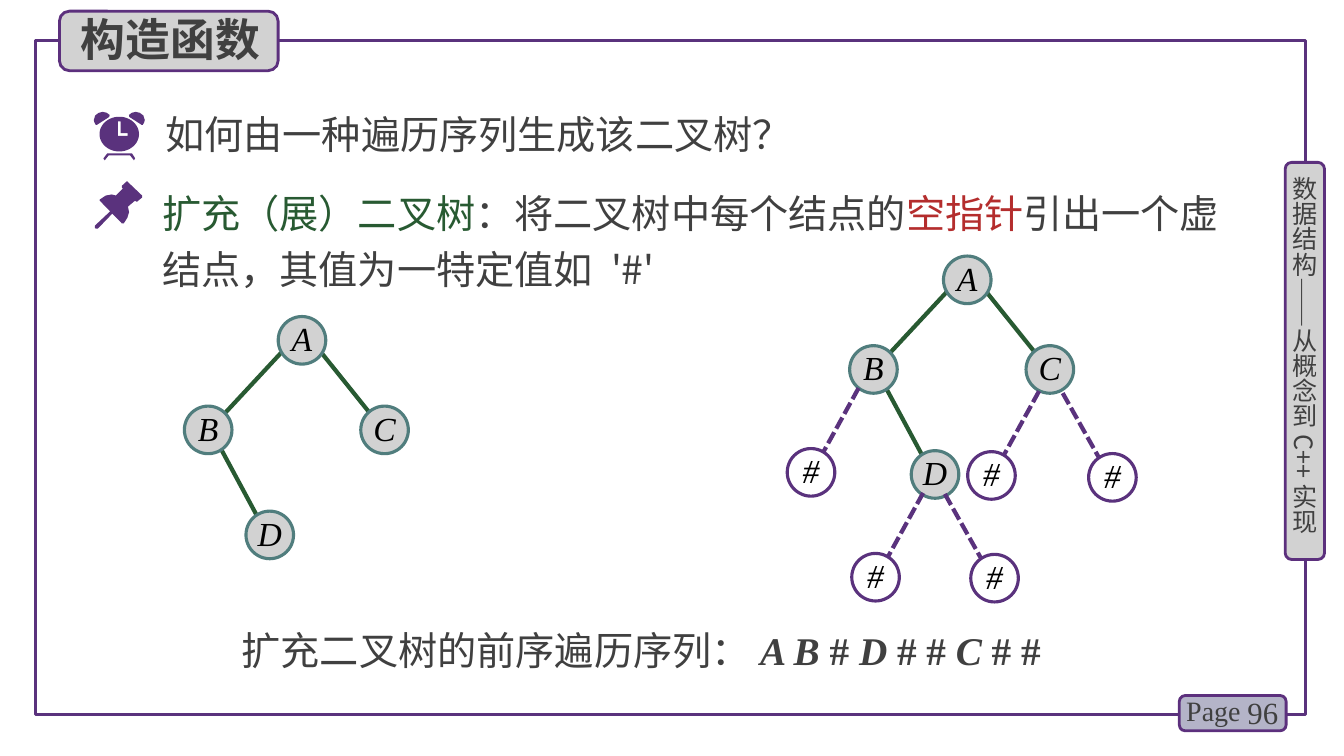
from math import cos, pi, sin
from typing import NamedTuple

from lxml.etree import SubElement
from pptx import Presentation
from pptx.dml.color import RGBColor
from pptx.enum.dml import MSO_LINE_DASH_STYLE as Dash
from pptx.enum.shapes import MSO_CONNECTOR as Connector
from pptx.enum.shapes import MSO_SHAPE as Shape
from pptx.enum.text import MSO_ANCHOR as Anchor
from pptx.enum.text import MSO_AUTO_SIZE as AutoSize
from pptx.enum.text import PP_ALIGN as Align
from pptx.oxml.ns import qn
from pptx.util import Pt

SANS, SERIF = "Noto Sans CJK SC", "Times New Roman"
PURPLE, BORDER, GREEN, TEAL = "5A327D", "5C307D", "285A32", "507D7D"
GREY, LILAC, TEXT, RED, BLACK = "D2D2D2", "B4B4C8", "404040", "B42D2D", "000000"
NODE_SIZE = 34


class Span(NamedTuple):
    text: str
    color: str = TEXT
    font: str = SANS
    bold: bool = False
    italic: bool = False


class Node(NamedTuple):
    letter: str
    dx: float
    dy: float


class NullLeaf(NamedTuple):
    x: float
    y: float
    is_left: bool


class Tab(NamedTuple):
    x: float
    y: float
    width: float
    height: float
    fill: str


def rgb(color: str) -> RGBColor:
    return RGBColor.from_string(color)


def write(box, spans, *, size, margins=(7.2, 3.6), align=Align.LEFT,
          anchor=Anchor.TOP, leading=None, before=0, indent=0, add=False):
    """Write one paragraph of spans into a box."""
    frame = box.text_frame
    frame.word_wrap = True
    frame.auto_size = AutoSize.NONE
    frame.vertical_anchor = anchor
    frame.margin_left = frame.margin_right = Pt(margins[0])
    frame.margin_top = frame.margin_bottom = Pt(margins[1])
    paragraph = frame.add_paragraph() if add else frame.paragraphs[0]
    properties = paragraph._p.get_or_add_pPr()
    properties.set("marL", str(Pt(indent)))
    properties.set("indent", "0")
    SubElement(properties, qn("a:buNone"))
    paragraph.alignment = align
    paragraph.space_before = Pt(before)
    paragraph.line_spacing = Pt(leading) if leading else 1.0
    for span in spans:
        run = paragraph.add_run()
        run.text = span.text
        run.font.size = Pt(size)
        run.font.name = span.font
        run.font.bold = span.bold
        run.font.italic = span.italic
        run.font.color.rgb = rgb(span.color)
        SubElement(run.font._element, qn("a:ea")).set("typeface", span.font)


def place(box, x: float, y: float, width: float, height: float):
    box.left, box.top, box.width, box.height = Pt(x), Pt(y), Pt(width), Pt(height)


def text_box(shapes, x: float, y: float, width: float, height: float):
    return shapes.add_textbox(Pt(x), Pt(y), Pt(width), Pt(height))


def add_outline(shapes, kind, x, y, width, height, *, fill=None, line, weight):
    shape = shapes.add_shape(kind, Pt(x), Pt(y), Pt(width), Pt(height))
    shape.shadow.inherit = False
    if fill:
        shape.fill.solid()
        shape.fill.fore_color.rgb = rgb(fill)
    else:
        shape.fill.background()
    shape.line.color.rgb = rgb(line)
    shape.line.width = Pt(weight)
    return shape


def add_edge(shapes, x1, y1, x2, y2, color: str, dashed: bool = False):
    edge = shapes.add_connector(Connector.STRAIGHT, Pt(x1), Pt(y1), Pt(x2), Pt(y2))
    edge.line.color.rgb = rgb(color)
    edge.line.width = Pt(3)
    if dashed:
        edge.line.dash_style = Dash.SQUARE_DOT
    SubElement(edge._element.spPr, qn("a:effectLst"))


def add_circle(shapes, letter: str, x, y, *, fill=None, line):
    circle = add_outline(shapes, Shape.OVAL, x, y, NODE_SIZE, NODE_SIZE,
                         fill=fill, line=line, weight=2.25)
    write(circle, [Span(letter, BLACK, SERIF, italic=True)], size=24,
          margins=(0, 0), align=Align.CENTER, leading=25)


def add_silhouette(shapes, *contours):
    builder = None
    for contour in contours:
        (x, y), *rest = [(Pt(px), Pt(py)) for px, py in contour]
        if builder is None:
            builder = shapes.build_freeform(x, y)
        else:
            builder.move_to(x, y)
        builder.add_line_segments(rest, close=True)
    shape = builder.convert_to_shape()
    shape.shadow.inherit = False
    shape.fill.solid()
    shape.fill.fore_color.rgb = rgb(PURPLE)
    shape.line.fill.background()


# Tree geometry, relative to the corner of the root node
NODES = [Node("A", 0, 0), Node("C", 59, 64), Node("B", -67, 64), Node("D", -23, 139)]
EDGES = [(2, 26, -38, 69), (31, 26, 65.5, 69), (-41, 94.3, -15, 142.6)]
NULL_LEAVES = [NullLeaf(562.3, 320.4, True), NullLeaf(608.4, 395.3, True),
               NullLeaf(691.2, 322.6, True), NullLeaf(777.6, 324, False),
               NullLeaf(693.4, 396, False)]

# Icon outlines
CLOCK_STAND = [(96.5, 113), (94.3, 109.6), (76.6, 109.6), (73.8, 113.2),
               (74.8, 114.5), (77.6, 111), (92.9, 111), (95.7, 114.5)]
CLOCK_BELL = [(73.4, 79.9), (70.5, 80.6), (68, 82.5), (67, 85.7), (67.4, 87.4),
              (68.4, 89.1), (69.3, 89.1), (78, 83.5), (78.3, 82.1), (76.1, 80.5)]
CLOCK_DIAL = [(85.2 + 14.1 * cos(step * pi / 24), 95.8 + 12.4 * sin(step * pi / 24))
              for step in range(48)]
CLOCK_HANDS = [(84.3, 86.7), (86.2, 86.7), (86.2, 95.1), (91.2, 95.1),
               (91.2, 97), (84.3, 97)]
PIN_HEAD = [(101.5, 139.7), (90.7, 129.4), (87.1, 132.7), (87.1, 133.9),
            (87.8, 134.6), (82.8, 139.7), (79.9, 138.9), (75.5, 139.7),
            (71.2, 142.6), (71.2, 143.3), (87.1, 159.6), (88.4, 159.6),
            (91, 155.5), (92.2, 151.5), (91.4, 147.6), (96.5, 143.3),
            (97.2, 144), (98, 144), (101.5, 141.1)]
PIN_NEEDLE = [(69.1, 163.4), (67.7, 163), (67.7, 161.3), (79.2, 150.5),
              (81, 150.5), (80.9, 151.9), (69.8, 163.4)]


def add_tree(shapes, x: float, y: float):
    for x1, y1, x2, y2 in EDGES:
        add_edge(shapes, x + x1, y + y1, x + x2, y + y2, GREEN)
    for node in NODES:
        add_circle(shapes, node.letter, x + node.dx, y + node.dy, fill=GREY, line=TEAL)


def add_null_leaf(shapes, leaf: NullLeaf):
    far, near = (51, 26) if leaf.is_left else (-18.5, 7)
    add_edge(shapes, leaf.x + far, leaf.y - 43.2, leaf.x + near, leaf.y + 2.2,
             PURPLE, dashed=True)
    add_circle(shapes, "#", leaf.x, leaf.y, line=PURPLE)


def main():
    deck = Presentation()
    deck.slide_width, deck.slide_height = Pt(960), Pt(540)
    slide = deck.slides.add_slide(deck.slide_layouts[1])
    shapes = slide.shapes
    heading, explanation = shapes.title, slide.placeholders[1]

    # Frame and tabs
    add_outline(shapes, Shape.RECTANGLE, 25.2, 28.8, 907.2, 481.7,
                line=PURPLE, weight=2.25)
    for tab in (Tab(842.4, 496.8, 76.3, 25.2, LILAC), Tab(918, 116, 28.1, 283.7, GREY),
                Tab(42.5, 8, 156.2, 42.5, GREY)):
        add_outline(shapes, Shape.ROUNDED_RECTANGLE, *tab[:4], fill=tab.fill,
                    line=BORDER, weight=2)

    # Page number and course name
    page_number = text_box(shapes, 869, 494, 51.1, 28.8)
    write(page_number, [Span("96", font=SERIF)], size=22, align=Align.RIGHT,
          anchor=Anchor.MIDDLE)
    page_label = text_box(shapes, 840.2, 491.8, 56.2, 31.7)
    write(page_label, [Span("Page", font=SERIF)], size=20)
    course = text_box(shapes, 920.9, 126, 21.6, 272.2)
    write(course, [Span("数据结构——从概念到C++实现")], size=18, margins=(0, 0))
    course.text_frame._txBody.bodyPr.set("vert", "eaVert")

    # Title and explanation
    place(heading, 50.4, 5, 149, 46)
    write(heading, [Span("构造函数", bold=True)], size=32)
    shapes.element.append(heading.element)
    place(explanation, 108.7, 69, 789, 144)
    write(explanation, [Span("如何由一种遍历序列生成该二叉树？")], size=28,
          leading=40, indent=2.2)
    write(explanation, [Span("扩充（展）二叉树", GREEN), Span("：将二叉树中每个结点的"),
                        Span("空指针", RED),
                        Span("引出一个虚结点，其值为一特定值如 '#'")],
          size=28, leading=40, before=16.4, add=True)

    # Clock and pin icons
    add_silhouette(shapes, CLOCK_STAND)
    add_silhouette(shapes, CLOCK_BELL)
    add_silhouette(shapes, [(170.4 - x, y) for x, y in CLOCK_BELL])
    add_silhouette(shapes, CLOCK_DIAL, CLOCK_HANDS)
    add_silhouette(shapes, PIN_HEAD)
    add_silhouette(shapes, PIN_NEEDLE)

    # Binary tree and its extended form
    add_tree(shapes, 198.7, 226.1)
    add_tree(shapes, 673.9, 182.9)
    for leaf in NULL_LEAVES:
        add_null_leaf(shapes, leaf)

    # Preorder sequence
    preorder = text_box(shapes, 165.6, 447.1, 616.3, 45.4)
    symbols = [Span(part, font=SERIF, bold=True, italic="#" not in part)
               for part in ("A B ", "# ", "D ", "# # ", "C ", "# #")]
    write(preorder, [Span("扩充二叉树的前序遍历序列："), *symbols], size=28,
          margins=(7.2, 0), align=Align.JUSTIFY)

    deck.save("out.pptx")


if __name__ == "__main__":
    main()
